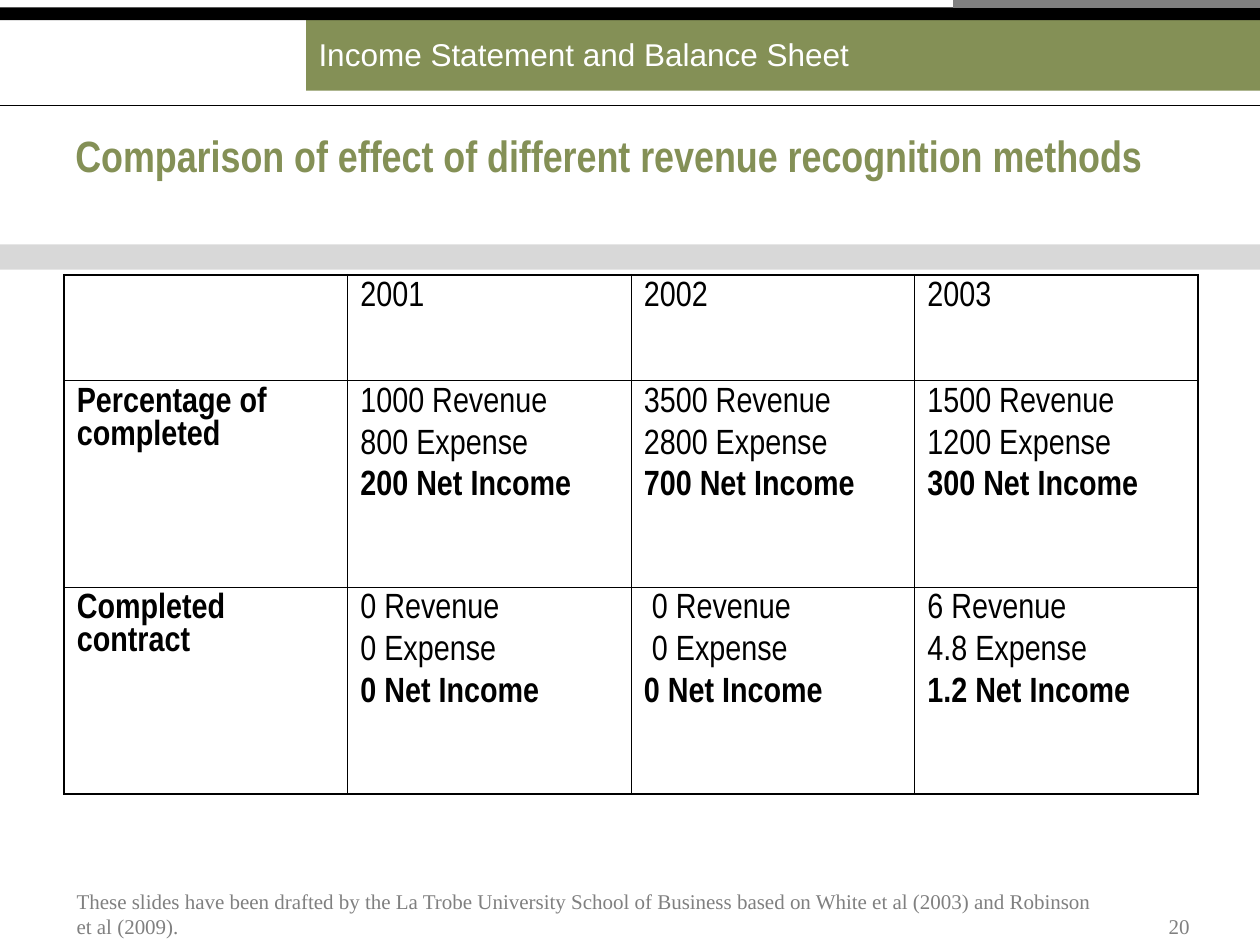
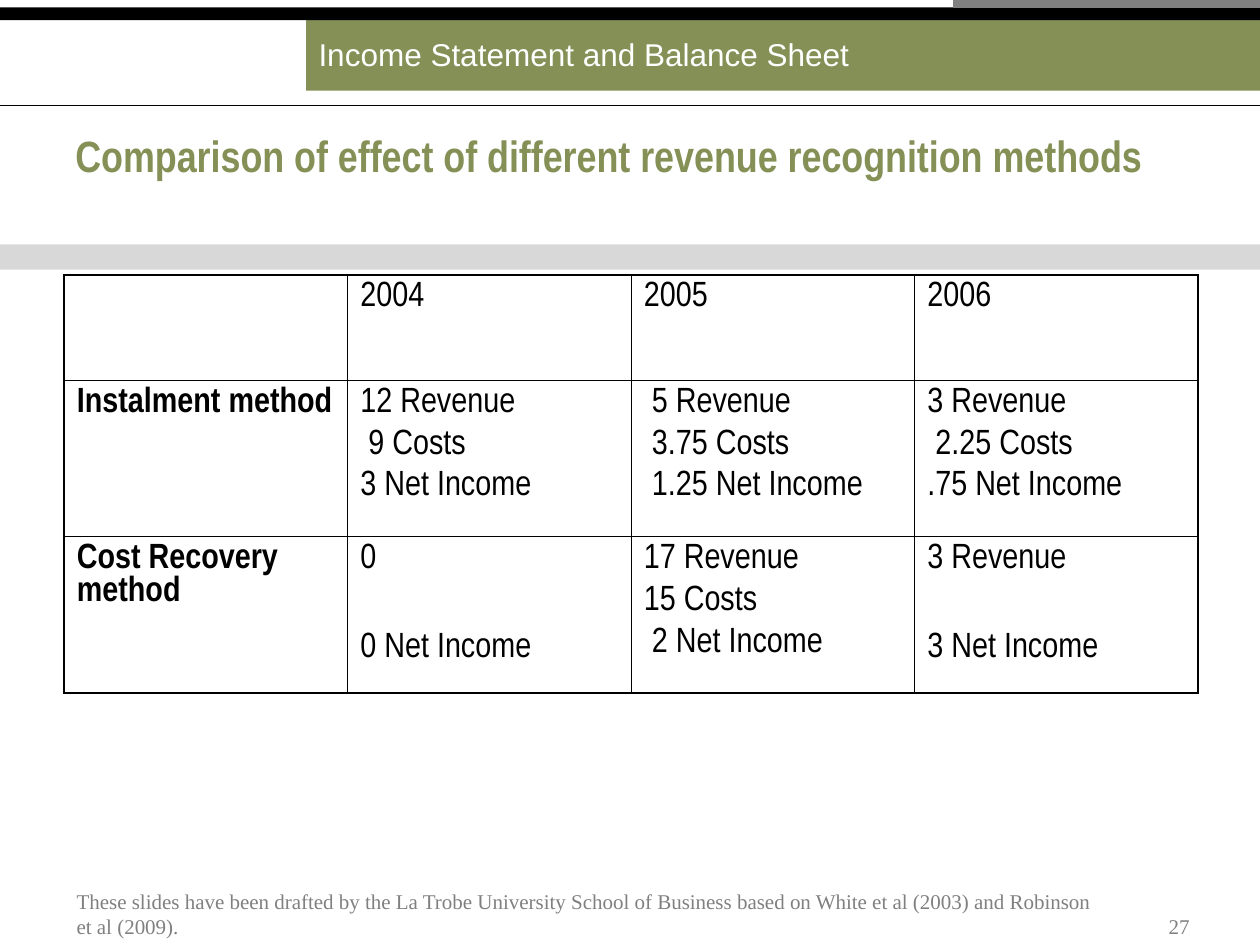
import lxml.etree
import pptx
import pptx.dml.color
import pptx.enum.shapes
import pptx.enum.text
import pptx.oxml.ns
import pptx.util

COLOURS = {"olive": "849056", "grey": "808080", "black": "000000", "white": "FFFFFF"}
FONTS = {"banner": "Arial", "body": "Arial Narrow", "footer": "Times New Roman"}
COLUMNS, ROWS = 100, 75  # grid of the 10 x 7.5 inch slide
ANCHOR = pptx.enum.text.MSO_ANCHOR
ALIGN = pptx.enum.text.PP_ALIGN

BANNER = "Income Statement and Balance Sheet"
TITLE = "Comparison of effect of different revenue recognition methods"
CREDIT = ("These slides have been drafted by the La Trobe University School of Business "
          "based on White et al (2003) and Robinson et al (2009).")


def colour(name):
    return pptx.dml.color.RGBColor.from_string(COLOURS[name])


def add_child(parent, tag, **attributes):
    return lxml.etree.SubElement(parent, pptx.oxml.ns.qn(tag), attributes)


class Builder:
    """Holds the deck, its style and the current page."""

    outer_line, inner_line = 1.08, 0.45
    space_before, skipped_line = 5, 32  # points above a line; above one after a gap
    number_indent = 4.6  # points

    def __init__(self):
        self.deck = pptx.Presentation()
        self.deck.slide_width = pptx.util.Inches(10)
        self.deck.slide_height = pptx.util.Inches(7.5)
        self.page = None

    def across(self, columns):
        return round(self.deck.slide_width * columns / COLUMNS)

    def down(self, rows):
        return round(self.deck.slide_height * rows / ROWS)

    def place(self, left, top, width, height):
        return self.across(left), self.down(top), self.across(width), self.down(height)

    def start_page(self):
        self.page = self.deck.slides.add_slide(self.deck.slide_layouts[6])

    def band(self, area, fill, opacity=None):
        shape = self.page.shapes.add_shape(
            pptx.enum.shapes.MSO_SHAPE.RECTANGLE, *self.place(*area))
        shape.shadow.inherit = False
        shape.fill.solid()
        shape.fill.fore_color.rgb = colour(fill)
        shape.line.fill.background()
        if opacity:
            tint = next(shape.element.spPr.iter(pptx.oxml.ns.qn("a:srgbClr")))
            add_child(tint, "a:alpha", val=str(opacity * 1000))
        return shape

    def rule(self, start, row, weight, ink):
        line = self.page.shapes.add_connector(
            pptx.enum.shapes.MSO_CONNECTOR.STRAIGHT,
            self.across(start), self.down(row), self.across(COLUMNS), self.down(row))
        line.line.color.rgb = colour(ink)
        line.line.width = pptx.util.Pt(weight)
        add_child(line.element.spPr, "a:effectLst")

    def add_span(self, para, text, font, size, ink, bold=False):
        span = para.add_run()
        span.text = text
        span.font.name = FONTS[font]
        span.font.size = pptx.util.Pt(size)
        span.font.bold = bold
        span.font.color.rgb = colour(ink)

    def fill_frame(self, frame, text, anchor, *style, align=ALIGN.LEFT, bold=False):
        frame.word_wrap = True
        frame.vertical_anchor = anchor
        para = frame.paragraphs[0]
        para.alignment = align
        self.add_span(para, text, *style, bold=bold)

    def text(self, area, *content, **options):
        box = self.page.shapes.add_textbox(*self.place(*area))
        self.fill_frame(box.text_frame, *content, **options)

    def border(self, cell, side, weight):
        line = add_child(cell._tc.get_or_add_tcPr(), f"a:ln{side}",
                         w=str(pptx.util.Pt(weight)))
        add_child(add_child(line, "a:solidFill"), "a:srgbClr", val=COLOURS["black"])

    def cell(self, cell, lines, bold_lines):
        """An empty line leaves a gap; a leading space indents the line."""
        frame = cell.text_frame
        para, skipped = frame.paragraphs[0], False
        for index, line in enumerate(lines):
            if not line:
                skipped = True
                continue
            if index:
                para = frame.add_paragraph()
                para.space_before = pptx.util.Pt(
                    self.skipped_line if skipped else self.space_before)
            if line.startswith(" "):
                para._p.get_or_add_pPr().set("marL", str(pptx.util.Pt(self.number_indent)))
            self.add_span(para, line.strip(), "body", 20, "black", index in bold_lines)
            skipped = False

    def table(self, area, heights, content, bold_lines):
        """bold_lines are the positions of bold lines in a result cell."""
        rows, columns = len(content), len(content[0])
        grid = self.page.shapes.add_table(rows, columns, *self.place(*area)).table
        grid.first_row = grid.horz_banding = False
        for row, height in enumerate(heights):
            grid.rows[row].height = self.down(height)
            for column in range(columns):
                cell = grid.cell(row, column)
                edges = {"L": column == 0, "R": column == columns - 1,
                         "T": row == 0, "B": row == rows - 1}
                for side, outside in edges.items():
                    self.border(cell, side, self.outer_line if outside else self.inner_line)
                cell.fill.background()
                self.cell(cell, content[row][column], bold_lines if column else {0})

    def frame_page(self, number):
        # Bands and rules
        self.band((0, 19.4, COLUMNS, 2), "grey", opacity=30)
        banner = self.band((24.3, 1.3, 75.7, 5.9), "olive")
        self.fill_frame(banner.text_frame, BANNER, ANCHOR.MIDDLE, "banner", 18, "white")
        self.band((0, 0.6, COLUMNS, 1), "black")
        self.rule(75.6, 0.3, 5, "grey")
        self.rule(0, 8.4, 0.75, "black")
        # Title and footer
        self.text((5, 9.1, 90, 6.4), TITLE, ANCHOR.MIDDLE, "body", 25, "olive", bold=True)
        footer = (ANCHOR.BOTTOM, "footer", 12, "grey")
        self.text((5.1, 69, 82.7, 6), CREDIT, *footer)
        self.text((89.4, 71.4, 6, 3.6), str(number), *footer, align=ALIGN.RIGHT)


# One entry a page: number, height of a method row, bold lines, table content
PAGES = [
    (20, 16.4, {2}, [
        [[], ["2001"], ["2002"], ["2003"]],
        [["Percentage of completed"],
         ["1000 Revenue", "800 Expense", "200 Net Income"],
         ["3500 Revenue", "2800 Expense", "700 Net Income"],
         ["1500 Revenue", "1200 Expense", "300 Net Income"]],
        [["Completed contract"],
         ["0 Revenue", "0 Expense", "0 Net Income"],
         [" 0 Revenue", " 0 Expense", "0 Net Income"],
         ["6 Revenue", "4.8 Expense", "1.2 Net Income"]],
    ]),
    (27, 12.4, set(), [
        [[], ["2004"], ["2005"], ["2006"]],
        [["Instalment method"],
         ["12 Revenue", " 9 Costs", "3 Net Income"],
         [" 5 Revenue", " 3.75 Costs", " 1.25 Net Income"],
         ["3 Revenue", " 2.25 Costs", ".75 Net Income"]],
        [["Cost Recovery method"],
         ["0", "", "0 Net Income"],
         ["17 Revenue", "15 Costs", " 2 Net Income"],
         ["3 Revenue", "", "3 Net Income"]],
    ]),
]


def main():
    builder = Builder()
    for number, method_height, bold_lines, content in PAGES:
        builder.start_page()
        builder.frame_page(number)
        heights = [8.4, method_height, method_height]
        builder.table((5.1, 21.8, 90, sum(heights)), heights, content, bold_lines)
    builder.deck.save("out.pptx")


if __name__ == "__main__":
    main()
